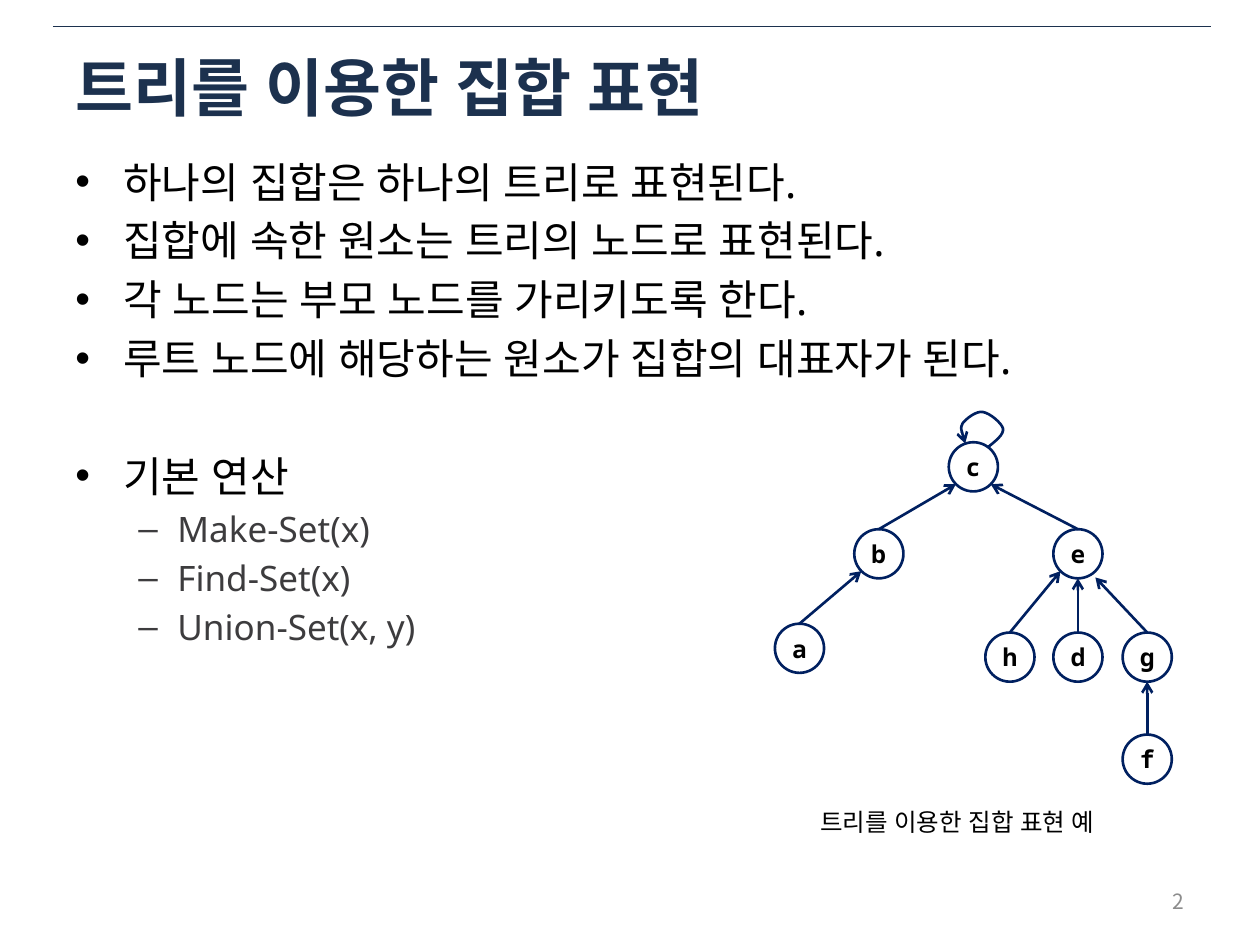
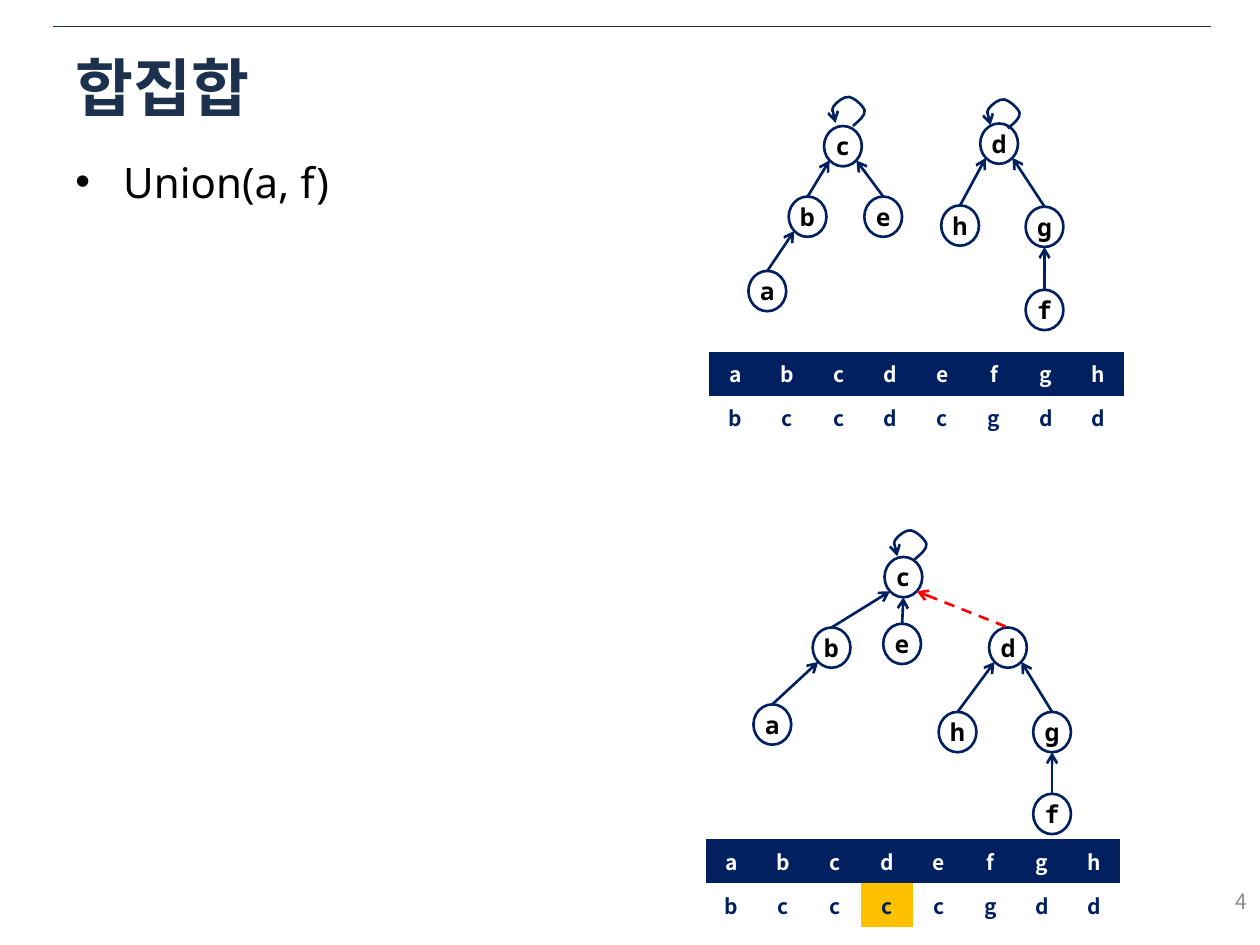
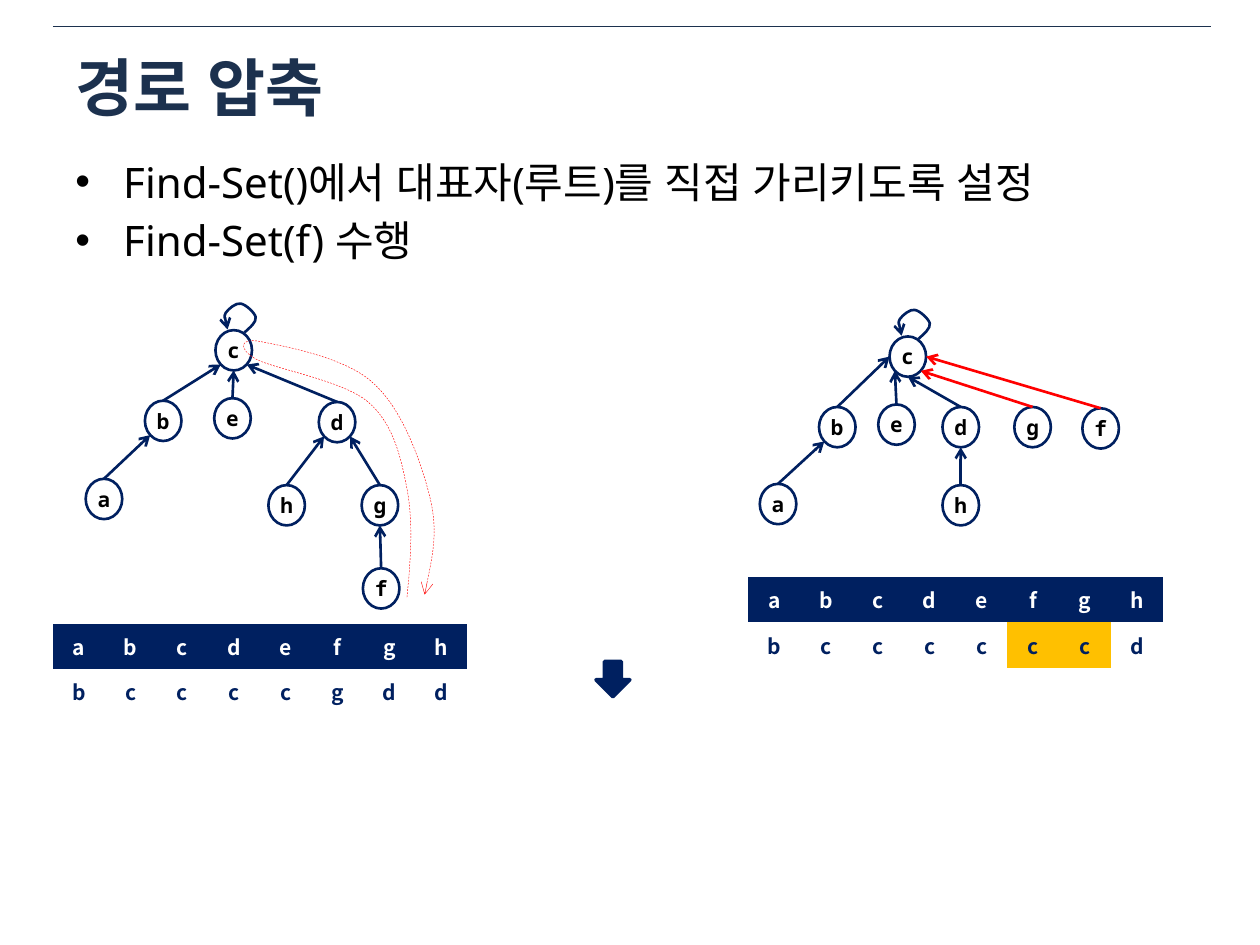
from dataclasses import dataclass
from enum import Enum
from typing import NamedTuple

from lxml import etree
from pptx import Presentation
from pptx.dml.color import RGBColor
from pptx.enum.dml import MSO_LINE
from pptx.enum.shapes import MSO_CONNECTOR, MSO_SHAPE
from pptx.enum.text import MSO_ANCHOR, PP_ALIGN
from pptx.oxml.ns import qn
from pptx.util import Inches, Pt

LINE, OVAL, DOWN_ARROW = MSO_CONNECTOR.STRAIGHT, MSO_SHAPE.OVAL, MSO_SHAPE.DOWN_ARROW
LEFT, CENTER, RIGHT = PP_ALIGN.LEFT, PP_ALIGN.CENTER, PP_ALIGN.RIGHT
TOP, MIDDLE = MSO_ANCHOR.TOP, MSO_ANCHOR.MIDDLE
DASH = MSO_LINE.DASH

INK = RGBColor(0x1C, 0x31, 0x4E)
NAVY = RGBColor(0x00, 0x20, 0x60)
RED = RGBColor(0xFF, 0x00, 0x00)
AMBER = RGBColor(0xFF, 0xC0, 0x00)
BLACK = RGBColor(0x00, 0x00, 0x00)
WHITE = RGBColor(0xFF, 0xFF, 0xFF)
CHARCOAL = RGBColor(0x3D, 0x3C, 0x3E)
GRAY = RGBColor(0x8C, 0x8C, 0x8C)

SANS, MONO, KOREAN = "Noto Sans", "Noto Sans Mono", "Noto Sans CJK KR"
NO_STYLE = "{2D5ABB26-0587-4C30-8999-92F81FD0307C}"
LETTERS = "abcdefgh"
TABLE_WIDTH = 3.29


class TextFormat(NamedTuple):
    size: float
    name: str
    color: RGBColor
    bold: bool = False


TITLE = TextFormat(36, SANS, INK, True)
CAPTION = TextFormat(14, "Lato", BLACK)
PAGE = TextFormat(12, KOREAN, GRAY)
HEADER = TextFormat(12, KOREAN, WHITE, True)
PARENT = TextFormat(12, KOREAN, NAVY, True)


class BulletLevel(NamedTuple):
    mark: str
    margin: float
    hanging: float
    text: TextFormat


LEVELS = [
    BulletLevel("•", 0.38, 0.38, TextFormat(24, SANS, BLACK)),
    BulletLevel("–", 0.81, 0.31, TextFormat(20, SANS, CHARCOAL)),
]


class Item(NamedTuple):
    text: str
    level: int = 0
    gap: float = 0


class Site(Enum):
    LEFT = (-1, 0)
    RIGHT = (1, 0)
    BOTTOM = (0, 1)
    BOTTOM_LEFT = (-0.71, 0.71)
    BOTTOM_RIGHT = (0.71, 0.71)


SW, S, SE = Site.BOTTOM_LEFT, Site.BOTTOM, Site.BOTTOM_RIGHT


class Point(NamedTuple):
    x: float
    y: float


class Edge(NamedTuple):
    parent: str
    site: Site
    child: str
    color: RGBColor = NAVY
    dash: MSO_LINE | None = None
    drop: float = 0


@dataclass
class Tree:
    nodes: dict[str, Point]
    edges: list[Edge]
    loops: list[Point]
    width: float
    height: float
    size: float
    grouped: bool = True


LOOP_NODE = 0.39
LOOP = [
    (0.06, -0.05), (0.13, -0.1), (0.12, -0.15),
    (0.11, -0.19), (0.02, -0.27), (-0.04, -0.28),
    (-0.09, -0.29), (-0.17, -0.23), (-0.2, -0.19),
    (-0.22, -0.15), (-0.2, -0.09), (-0.18, -0.03),
]
FIND_ROUTE = [
    (3.23, 4.74),
    (3.26, 4.44), (3.28, 4.14), (3.23, 3.88),
    (3.18, 3.62), (3.12, 3.36), (2.92, 3.19),
    (2.72, 3.02), (2.18, 2.93), (2.03, 2.85),
    (1.89, 2.77), (1.9, 2.68), (2.06, 2.71),
    (2.21, 2.74), (2.74, 2.83), (2.96, 3.04),
    (3.19, 3.24), (3.34, 3.66), (3.41, 3.94),
    (3.48, 4.22), (3.42, 4.47), (3.37, 4.72),
]

EXAMPLE = Tree(
    {"b": Point(6.78, 4.2), "a": Point(6.15, 4.95), "c": Point(7.53, 3.51),
     "e": Point(8.36, 4.2), "h": Point(7.82, 5.02), "d": Point(8.36, 5.02),
     "g": Point(8.91, 5.02), "f": Point(8.91, 5.83)},
    [Edge("c", SW, "b"), Edge("b", SW, "a"), Edge("c", SE, "e"), Edge("e", SW, "h"),
     Edge("e", S, "d"), Edge("e", SE, "g", drop=0.05), Edge("g", S, "f")],
    [Point(7.84, 3.55)], 0.39, 0.39, 14, False)
BEFORE_UNION = Tree(
    {"b": Point(6.26, 1.56), "a": Point(5.94, 2.15), "c": Point(6.54, 1),
     "e": Point(6.86, 1.56), "d": Point(7.78, 0.98), "h": Point(7.47, 1.63),
     "g": Point(8.14, 1.64), "f": Point(8.14, 2.3)},
    [Edge("c", SW, "b"), Edge("b", SW, "a"), Edge("c", SE, "e"),
     Edge("d", SW, "h"), Edge("d", SE, "g"), Edge("g", S, "f")],
    [Point(6.77, 1), Point(8, 1.02)], 0.3, 0.32, 14)
AFTER_UNION = Tree(
    {"b": Point(6.45, 4.98), "a": Point(5.98, 5.59), "c": Point(7.02, 4.42),
     "e": Point(7.01, 4.95), "d": Point(7.85, 4.98), "h": Point(7.45, 5.65),
     "g": Point(8.2, 5.65), "f": Point(8.2, 6.3)},
    [Edge("c", SW, "b"), Edge("b", SW, "a"), Edge("c", S, "e"), Edge("d", SW, "h"),
     Edge("d", SE, "g"), Edge("g", S, "f"), Edge("c", SE, "d", RED, DASH)],
    [Point(7.26, 4.44)], 0.3, 0.32, 14)
BEFORE_FIND = Tree(
    {"b": Point(1.15, 3.18), "a": Point(0.68, 3.8), "c": Point(1.71, 2.62),
     "e": Point(1.7, 3.16), "d": Point(2.53, 3.19), "h": Point(2.13, 3.85),
     "g": Point(2.87, 3.85), "f": Point(2.88, 4.51)},
    [Edge("c", SW, "b"), Edge("b", SW, "a"), Edge("c", S, "e"), Edge("d", SW, "h"),
     Edge("d", SE, "g"), Edge("g", S, "f"), Edge("c", SE, "d")],
    [Point(1.94, 2.64)], 0.29, 0.32, 12)
AFTER_FIND = Tree(
    {"b": Point(6.5, 3.23), "a": Point(6.03, 3.84), "c": Point(7.06, 2.67),
     "e": Point(6.97, 3.21), "d": Point(7.48, 3.23), "h": Point(7.48, 3.85),
     "g": Point(8.05, 3.23), "f": Point(8.59, 3.24)},
    [Edge("c", Site.LEFT, "b"), Edge("b", SW, "a"), Edge("c", SW, "e"),
     Edge("d", S, "h"), Edge("c", SE, "g", RED), Edge("c", Site.RIGHT, "f", RED),
     Edge("c", S, "d")],
    [Point(7.29, 2.69)], 0.29, 0.32, 12)


def write(p, text: str, fmt: TextFormat, align=LEFT) -> None:
    p.alignment = align
    r = p.add_run()
    r.text = text
    values = {"size": Pt(fmt.size), "name": fmt.name, "bold": fmt.bold}
    for key, value in values.items():
        setattr(r.font, key, value)
    r.font.color.rgb = fmt.color
    etree.SubElement(r._r.get_or_add_rPr(), qn("a:ea"), typeface=fmt.name)


def add_box(s, x: float, y: float, w: float, h: float, anchor=TOP, wrap: bool = True):
    tf = s.shapes.add_textbox(Inches(x), Inches(y), Inches(w), Inches(h)).text_frame
    tf.word_wrap = wrap
    tf.vertical_anchor = anchor
    return tf


def set_line(sp, color: RGBColor, width: float, dash=None, end: str | None = None) -> None:
    sp.line.color.rgb = color
    sp.line.width = Pt(width)
    if dash is not None:
        sp.line.dash_style = dash
    if end:
        ln = sp.line._get_or_add_ln()
        etree.SubElement(ln, qn(f"a:{end}"), type="arrow")


def add_line(shapes, start: Point, stop: Point, color: RGBColor, width: float,
             dash=None, end: str | None = None) -> None:
    sp = shapes.add_connector(LINE, *(Inches(v) for v in (*start, *stop)))
    set_line(sp, color, width, dash, end)
    etree.SubElement(sp._element.spPr, qn("a:effectLst"))


def add_curve(shapes, points: list, color: RGBColor, width: float, dash=None) -> None:
    start, *rest = [(Inches(x), Inches(y)) for x, y in points]
    builder = shapes.build_freeform(*start)
    builder.add_line_segments(rest, close=False)
    sp = builder.convert_to_shape()
    segments = list(sp._element.iter(qn("a:lnTo")))
    for i in range(0, len(segments), 3):
        bezier = etree.Element(qn("a:cubicBezTo"))
        segments[i].addprevious(bezier)
        for segment in segments[i:i + 3]:
            bezier.append(segment[0])
            segment.getparent().remove(segment)
    sp.shadow.inherit = False
    sp.fill.background()
    set_line(sp, color, width, dash, "tailEnd")


def add_node(shapes, letter: str, at: Point, tree: Tree) -> None:
    sp = shapes.add_shape(OVAL, Inches(at.x), Inches(at.y),
                          Inches(tree.width), Inches(tree.height))
    sp.shadow.inherit = False
    sp.fill.background()
    set_line(sp, NAVY, 1.5)
    tf = sp.text_frame
    values = {"margin_left": 0, "margin_right": 0, "margin_top": Inches(0.05),
              "margin_bottom": Inches(0.05), "vertical_anchor": MIDDLE}
    for key, value in values.items():
        setattr(tf, key, value)
    write(tf.paragraphs[0], letter, TextFormat(tree.size, MONO, BLACK, True), CENTER)


def add_tree(s, tree: Tree) -> None:
    shapes = s.shapes.add_group_shape().shapes if tree.grouped else s.shapes
    rx, ry = tree.width / 2, tree.height / 2
    for letter, at in tree.nodes.items():
        add_node(shapes, letter, at, tree)
    for edge in tree.edges:
        parent, child = tree.nodes[edge.parent], tree.nodes[edge.child]
        dx, dy = edge.site.value
        start = Point(parent.x + rx * (1 + dx), parent.y + ry * (1 + dy) + edge.drop)
        add_line(shapes, start, Point(child.x + rx, child.y),
                 edge.color, 1.5, edge.dash, "headEnd")
    sx, sy = tree.width / LOOP_NODE, tree.height / LOOP_NODE
    for start in tree.loops:
        points = [start] + [(start.x + x * sx, start.y + y * sy) for x, y in LOOP]
        add_curve(shapes, points, NAVY, 1.5)


def add_parents(s, x: float, y: float, row: float, parents: str, changed: str = "") -> None:
    frame = s.shapes.add_table(2, len(LETTERS), Inches(x), Inches(y),
                               Inches(TABLE_WIDTH), Inches(2 * row))
    table = frame.table
    table._tbl.tblPr.find(qn("a:tableStyleId")).text = NO_STYLE
    for line in table.rows:
        line.height = Inches(row)
    for i, (letter, parent) in enumerate(zip(LETTERS, parents)):
        table.columns[i].width = Inches(TABLE_WIDTH / len(LETTERS))
        for j, (text, fmt) in enumerate([(letter, HEADER), (parent, PARENT)]):
            cell = table.cell(j, i)
            cell.vertical_anchor = MIDDLE
            write(cell.text_frame.paragraphs[0], text, fmt, CENTER)
            if j == 0 or letter in changed:
                cell.fill.solid()
                cell.fill.fore_color.rgb = AMBER if j else NAVY
            else:
                cell.fill.background()


def add_bullets(s, items: list[Item], height: float) -> None:
    tf = add_box(s, 0.5, 1.19, 9, height)
    for i, item in enumerate(items):
        p = tf.add_paragraph() if i else tf.paragraphs[0]
        level = LEVELS[item.level]
        p.level = item.level
        p.space_before = Pt(0.2 * level.text.size + item.gap)
        pPr = p._p.get_or_add_pPr()
        pPr.set("marL", str(Inches(level.margin)))
        pPr.set("indent", str(-Inches(level.hanging)))
        etree.SubElement(pPr, qn("a:buFont"), typeface="Arial")
        etree.SubElement(pPr, qn("a:buChar"), char=level.mark)
        write(p, item.text, level.text)


def add_slide(prs, title: str, items: list[Item], height: float):
    s = prs.slides.add_slide(prs.slide_layouts[6])
    add_line(s.shapes, Point(0.42, 0.21), Point(9.61, 0.21), INK, 0.25)
    add_bullets(s, items, height)
    write(add_box(s, 0.5, 0.35, 9, 0.67, MIDDLE).paragraphs[0], title, TITLE)
    return s


def add_page(s, x: float, number: str) -> None:
    write(add_box(s, x, 6.95, 2.33, 0.4, MIDDLE).paragraphs[0], number, PAGE, RIGHT)


def build_sets(prs) -> None:
    s = add_slide(prs, "트리를 이용한 집합 표현", [
        Item("하나의 집합은 하나의 트리로 표현된다."),
        Item("집합에 속한 원소는 트리의 노드로 표현된다."),
        Item("각 노드는 부모 노드를 가리키도록 한다."),
        Item("루트 노드에 해당하는 원소가 집합의 대표자가 된다."),
        Item("기본 연산", gap=33.6),
        Item("Make-Set(x)", 1),
        Item("Find-Set(x)", 1),
        Item("Union-Set(x, y)", 1),
    ], 5.51)
    add_tree(s, EXAMPLE)
    p = add_box(s, 6.33, 6.36, 2.78, 0.34, wrap=False).paragraphs[0]
    p._p.get_or_add_pPr().set("marL", str(Inches(0.08)))
    p.space_before = p.space_after = Pt(2)
    write(p, "트리를 이용한 집합 표현 예", CAPTION)
    add_page(s, 7.17, "2")


def build_union(prs) -> None:
    s = add_slide(prs, "합집합", [Item("Union(a, f)")], 0.73)
    add_page(s, 7.67, "4")
    add_tree(s, BEFORE_UNION)
    add_tree(s, AFTER_UNION)
    add_parents(s, 5.63, 2.79, 0.35, "bccdcgdd")
    add_parents(s, 5.6, 6.66, 0.35, "bccccgdd", "d")


def build_compression(prs) -> None:
    s = add_slide(prs, "경로 압축", [
        Item("Find-Set()에서 대표자(루트)를 직접 가리키도록 설정"),
        Item("Find-Set(f) 수행"),
    ], 5.84)
    add_parents(s, 0.42, 4.95, 0.36, "bccccgdd")
    add_parents(s, 5.94, 4.58, 0.36, "bccccccd", "fg")
    add_tree(s, BEFORE_FIND)
    add_tree(s, AFTER_FIND)
    add_curve(s.shapes, FIND_ROUTE, RED, 0.25, DASH)
    sp = s.shapes.add_shape(DOWN_ARROW, Inches(4.73), Inches(5.25),
                            Inches(0.27), Inches(0.28))
    sp.shadow.inherit = False
    sp.fill.solid()
    sp.fill.fore_color.rgb = NAVY
    set_line(sp, NAVY, 2)


def main() -> None:
    prs = Presentation()
    prs.slide_width, prs.slide_height = Inches(10), Inches(7.5)
    for build in (build_sets, build_union, build_compression):
        build(prs)
    prs.save("out.pptx")


if __name__ == "__main__":
    main()
